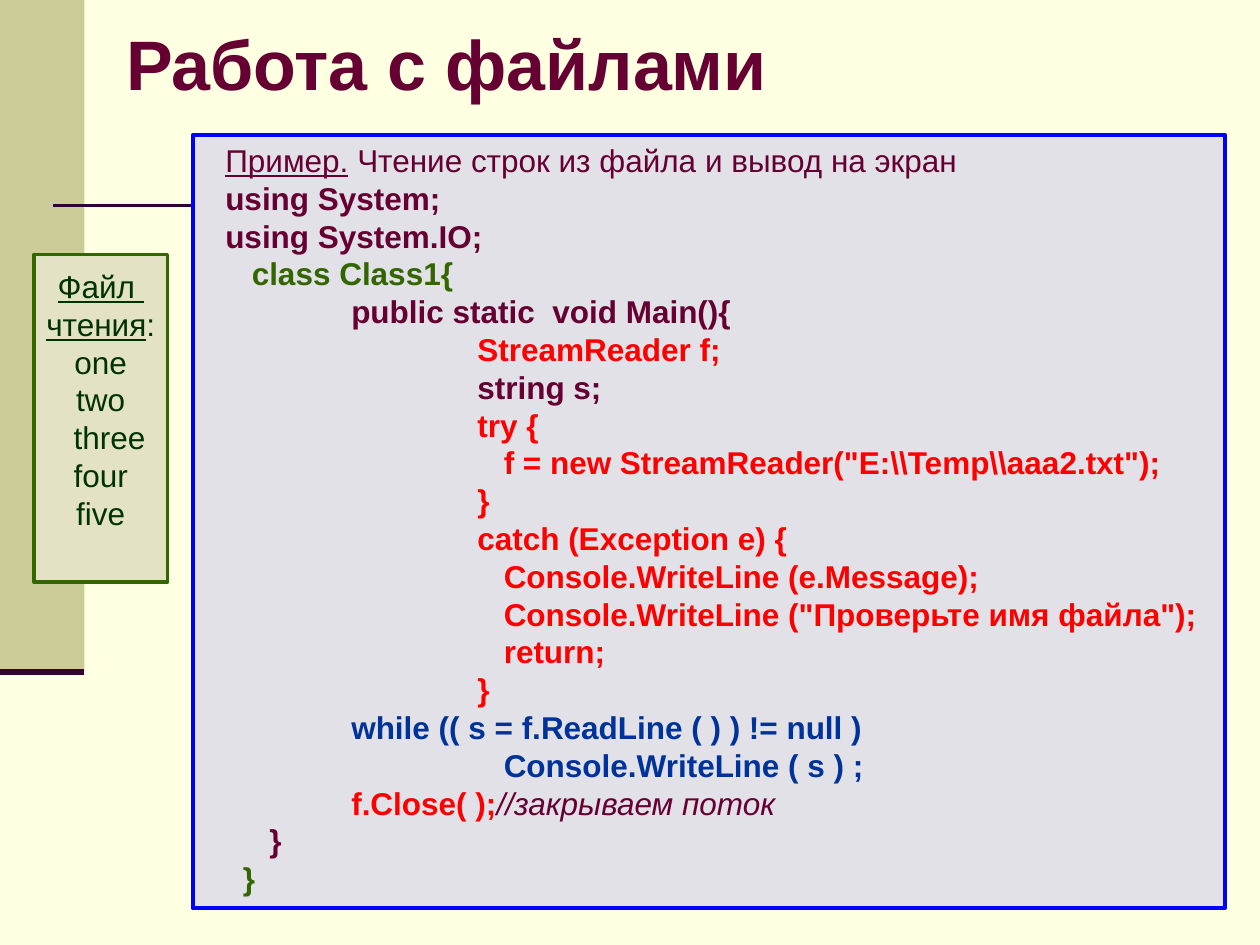
from dataclasses import dataclass

from lxml import etree
from pptx import Presentation
from pptx.dml.color import RGBColor
from pptx.enum import shapes, text
from pptx.oxml import ns
from pptx.util import Inches, Pt


@dataclass(frozen=True)
class Theme:
    background: str = "FFFFE1"
    band: str = "CCCC99"
    rule: str = "330033"
    file_fill: str = "E3E2C4"
    file_text: str = "003300"
    code_fill: str = "E1E1E7"
    code_line: str = "0000FF"
    plum: str = "660033"
    green: str = "336600"
    red: str = "FF0000"
    blue: str = "003399"
    font: str = "Arial"
    title_size: int = 40
    body_size: int = 18


T = Theme()


def add_box(x, y, w, h, fill, line=None):
    """Add a flat rectangle; positions are in inches."""
    sp = s.shapes.add_shape(shapes.MSO_SHAPE.RECTANGLE,
                            Inches(x), Inches(y), Inches(w), Inches(h))
    sp.shadow.inherit = False
    sp.fill.solid()
    sp.fill.fore_color.rgb = RGBColor.from_string(fill)
    if line:
        sp.line.color.rgb = RGBColor.from_string(line)
        sp.line.width = Pt(2.25)
    else:
        sp.line.fill.background()
    return sp


def write_lines(tf, lines, align, size=T.body_size):
    """Fill a frame from (indent in inches, [(text, colour, styles)]) lines.

    Styles are letters: b bold, i italic, u underline.
    """
    for i, (indent, runs) in enumerate(lines):
        p = tf.paragraphs[0] if i == 0 else tf.add_paragraph()
        p.alignment = align
        if indent:
            pPr = p._p.get_or_add_pPr()
            pPr.set("marL", str(Inches(indent)))
            pPr.set("indent", "0")
        for words, color, styles in runs:
            r = p.add_run()
            r.text = words
            r.font.name = T.font
            r.font.size = Pt(size)
            r.font.color.rgb = RGBColor.from_string(color)
            r.font.bold = "b" in styles
            r.font.italic = "i" in styles
            r.font.underline = "u" in styles


prs = Presentation()
prs.slide_width, prs.slide_height = Inches(10), Inches(7.5)
s = prs.slides.add_slide(prs.slide_layouts[5])
s.background.fill.solid()
s.background.fill.fore_color.rgb = RGBColor.from_string(T.background)

# Side band and rules
add_box(0, 0, 0.67, 5.33, T.band)
for x1, x2, y, width in [(0.42, 9.5, 1.63, 1.5), (0, 0.67, 5.33, 3.5)]:
    rule = s.shapes.add_connector(shapes.MSO_CONNECTOR.STRAIGHT,
                                  Inches(x1), Inches(y), Inches(x2), Inches(y))
    rule.line.color.rgb = RGBColor.from_string(T.rule)
    rule.line.width = Pt(width)
    etree.SubElement(rule._element.spPr, ns.qn("a:effectLst"))

# Title
title = s.shapes.title
title.left, title.top = Inches(0.9), Inches(0)
title.width, title.height = Inches(8.5), Inches(0.99)
tf = title.text_frame
tf.auto_size = text.MSO_AUTO_SIZE.NONE
tf.vertical_anchor = text.MSO_ANCHOR.MIDDLE
write_lines(tf, [(0, [("Работа с файлами", T.plum, "b")])],
            text.PP_ALIGN.LEFT, T.title_size)

# Contents of the file being read
file_lines = [(0, [("Файл ", T.file_text, "u")]),
              (0, [("чтения", T.file_text, "u"), (":", T.file_text, "")])]
for word in ["one", "two", "three", "four", "five"]:
    file_lines.append((0.14 if word == "three" else 0, [(word, T.file_text, "")]))
tf = add_box(0.27, 2.02, 1.06, 2.6, T.file_fill, T.green).text_frame
tf.word_wrap = False
tf.vertical_anchor = text.MSO_ANCHOR.MIDDLE
tf.margin_bottom = Inches(0.35)
write_lines(tf, file_lines, text.PP_ALIGN.CENTER)

# Code example: indent, colour, line
code = [
    (0, T.plum, "using System;"),
    (0, T.plum, "using System.IO;"),
    (0.21, T.green, "class Class1{"),
    (1, T.plum, "public static  void Main(){"),
    (2, T.red, "StreamReader f;"),
    (2, T.plum, "string s;"),
    (2, T.red, "try {"),
    (2.21, T.red, r'f = new StreamReader("E:\\Temp\\aaa2.txt");'),
    (2, T.red, "}"),
    (2, T.red, "catch (Exception e) {"),
    (2.21, T.red, "Console.WriteLine (e.Message);"),
    (2.21, T.red, 'Console.WriteLine ("Проверьте имя файла");'),
    (2.21, T.red, "return;"),
    (2, T.red, "}"),
    (1, T.blue, "while (( s = f.ReadLine ( ) ) != null )"),
    (2.21, T.blue, "Console.WriteLine ( s ) ;"),
    (1, T.red, "f.Close( );"),
    (0.35, T.plum, "}"),
    (0.14, T.green, "}"),
]
code_lines = [(0, [("Пример.", T.plum, "u"),
                   (" Чтение строк из файла и вывод на экран", T.plum, "")])]
for indent, color, words in code:
    runs = [(words, color, "b")]
    if words.startswith("f.Close"):
        runs.append(("//закрываем поток", T.plum, "i"))
    code_lines.append((indent, runs))

add_box(1.53, 1.07, 8.19, 6.14, T.code_fill, T.code_line)
listing = s.shapes.add_textbox(Inches(1.69), Inches(1.07), Inches(7.94), Inches(6.1))
tf = listing.text_frame
tf.word_wrap = True
tf.margin_right = 0
write_lines(tf, code_lines, text.PP_ALIGN.LEFT)

prs.save("out.pptx")
